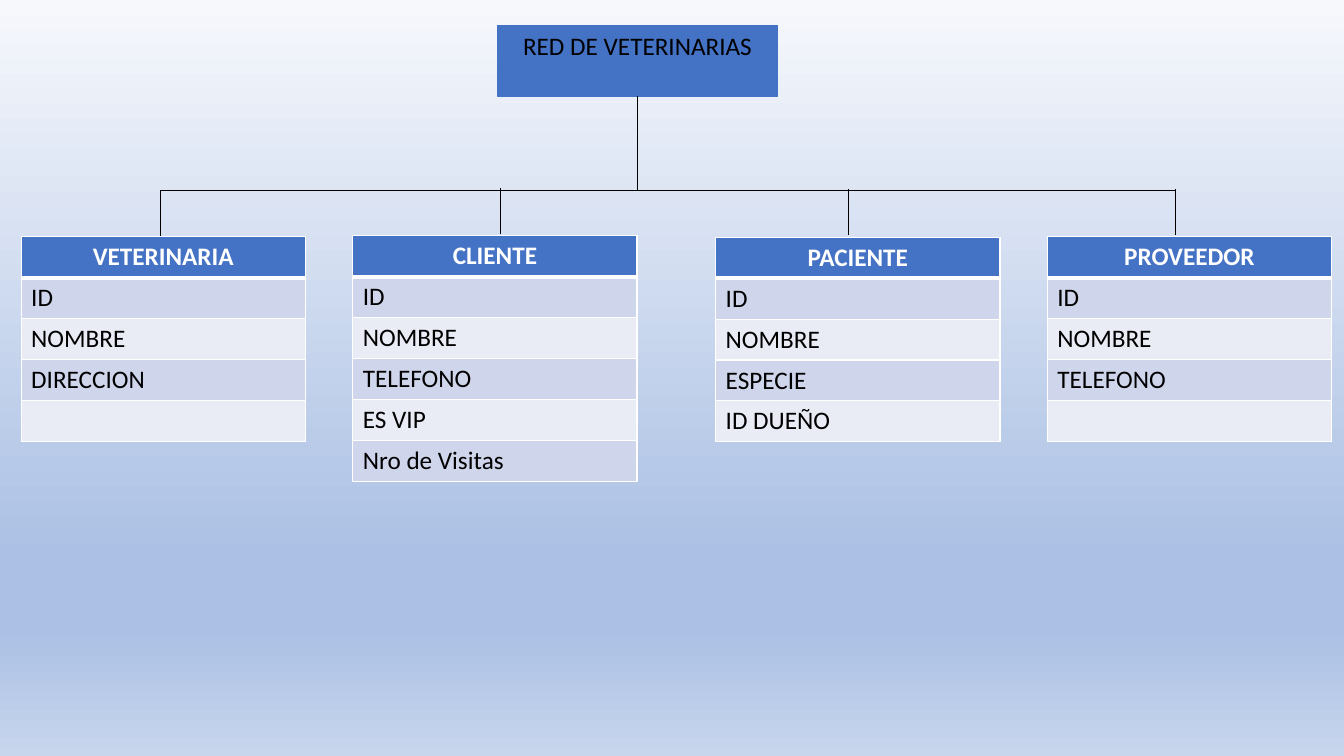
from lxml.etree import SubElement
from pptx import Presentation
from pptx.dml.color import RGBColor
from pptx.enum.shapes import MSO_CONNECTOR, MSO_SHAPE
from pptx.enum.text import MSO_ANCHOR, PP_ALIGN
from pptx.oxml.ns import qn
from pptx.util import Inches, Pt

COLS, ROWS = 80, 45
TABLE_W, ROW_H = 16.92, 2.43
BUS_Y = 11.34
TITLE = (29.64, 1.5, 16.62, 4.23)
TABLES = [
    (1.26, 14.1, ["VETERINARIA", "ID", "NOMBRE", "DIRECCION", ""]),
    (21, 14.04, ["CLIENTE", "ID", "NOMBRE", "TELEFONO", "ES VIP", "Nro de Visitas"]),
    (42.6, 14.13, ["PACIENTE", "ID", "NOMBRE", "ESPECIE", "ID DUEÑO"]),
    (62.34, 14.1, ["PROVEEDOR", "ID", "NOMBRE", "TELEFONO", ""]),
]
DROPS = [(9.54, 11.34), (29.76, 11.22), (50.52, 11.28), (69.96, 11.28)]
DROP_H = 2.7


def rgb(value):
    return RGBColor.from_string(value)


def write(tf, text, size=18, color="000000", bold=False, align=PP_ALIGN.LEFT):
    p = tf.paragraphs[0]
    p.alignment = align
    r = p.add_run()
    r.text = text
    r.font.name = "Calibri"
    r.font.size = Pt(size)
    r.font.bold = bold
    r.font.color.rgb = rgb(color)


class Diagram:
    blue, white, black = "4472C4", "FFFFFF", "000000"
    bands = ("E9EBF5", "CFD5EA")

    def __init__(self, prs):
        self.col = prs.slide_width / COLS
        self.row = prs.slide_height / ROWS
        self.s = prs.slides.add_slide(prs.slide_layouts[6])

    def x(self, cols):
        return round(cols * self.col)

    def y(self, rows):
        return round(rows * self.row)

    def background(self, stops):
        fill = self.s.background.fill
        fill.gradient()
        fill.gradient_angle = 270
        gs_lst = self.s.element.find(".//" + qn("a:gsLst"))
        for gs in list(gs_lst):
            gs_lst.remove(gs)
        for pos, color in stops:
            gs = SubElement(gs_lst, qn("a:gs"), pos=str(pos * 1000))
            SubElement(gs, qn("a:srgbClr"), val=color)

    def box(self, left, top, width, height, text):
        sp = self.s.shapes.add_shape(MSO_SHAPE.RECTANGLE, self.x(left), self.y(top),
                                     self.x(width), self.y(height))
        sp.shadow.inherit = False
        sp.fill.solid()
        sp.fill.fore_color.rgb = rgb(self.blue)
        sp.line.color.rgb = rgb(self.blue)
        sp.line.width = Pt(1)
        tf = sp.text_frame
        tf.word_wrap = True
        tf.vertical_anchor = MSO_ANCHOR.TOP
        write(tf, text, align=PP_ALIGN.CENTER)
        return sp

    def line(self, x1, y1, x2, y2):
        cxn = self.s.shapes.add_connector(MSO_CONNECTOR.STRAIGHT, self.x(x1), self.y(y1),
                                          self.x(x2), self.y(y2))
        cxn.line.color.rgb = rgb(self.black)
        cxn.line.width = Pt(0.5)
        SubElement(cxn.element.spPr, qn("a:effectLst"))
        return cxn

    def borders(self, cell, **widths):
        tc_pr = cell._tc.get_or_add_tcPr()
        for side in "LRTB":
            ln = SubElement(tc_pr, qn("a:ln" + side), w=str(Pt(widths.get(side, 1))))
            SubElement(SubElement(ln, qn("a:solidFill")), qn("a:srgbClr"), val=self.white)

    def table(self, left, top, labels):
        frame = self.s.shapes.add_table(len(labels), 1, self.x(left), self.y(top),
                                        self.x(TABLE_W), self.y(ROW_H * len(labels)))
        for i, label in enumerate(labels):
            frame.table.rows[i].height = self.y(ROW_H)
            cell = frame.table.cell(i, 0)
            self.borders(cell, T=3 if i == 1 else 1, B=3 if i == 0 else 1)
            cell.fill.solid()
            cell.fill.fore_color.rgb = rgb(self.bands[i % 2] if i else self.blue)
            if i == 0:
                write(cell.text_frame, label, color=self.white, bold=True,
                      align=PP_ALIGN.CENTER)
            elif label:
                write(cell.text_frame, label)


def main():
    prs = Presentation()
    prs.slide_width, prs.slide_height = Inches(13.33), Inches(7.5)
    d = Diagram(prs)
    d.background([(0, "F6F8FC"), (74, "ABC0E4"), (83, "ABC0E4"), (100, "C7D5ED")])
    for left, top, labels in TABLES:
        d.table(left, top, labels)

    title = d.box(*TITLE, "RED DE VETERINARIAS")
    d.line(DROPS[0][0], BUS_Y, DROPS[-1][0], BUS_Y)
    left, top, width, height = TITLE
    center = left + width / 2
    trunk = d.line(center, top + height, center, BUS_Y)
    trunk.begin_connect(title, 2)
    for x, y in DROPS:
        d.line(x, y, x, y + DROP_H)
    prs.save("out.pptx")


if __name__ == "__main__":
    main()
